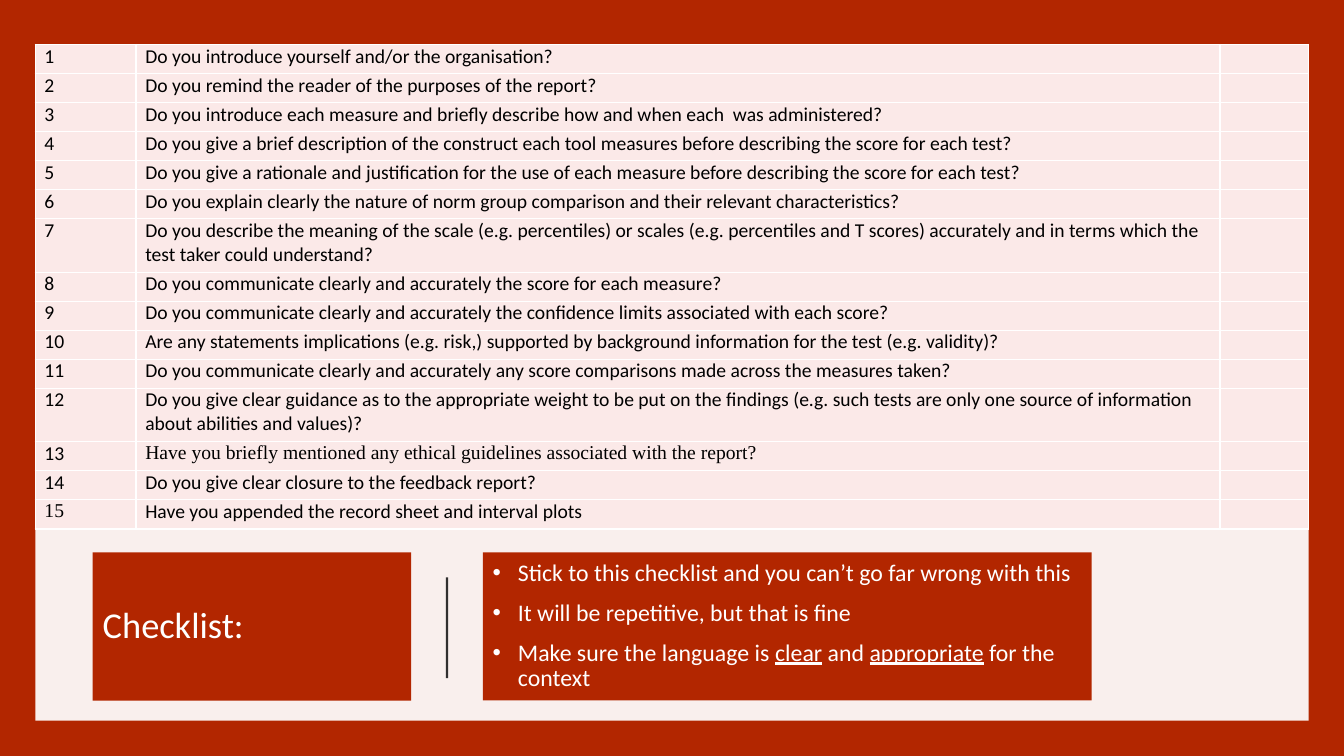
"""Build the report checklist slide with its table, title and advice."""
from lxml.etree import SubElement
from pptx import Presentation
from pptx.dml.color import RGBColor
from pptx.enum.shapes import MSO_CONNECTOR, MSO_SHAPE
from pptx.enum.text import MSO_ANCHOR, MSO_AUTO_SIZE, PP_ALIGN
from pptx.oxml.ns import qn
from pptx.util import Pt

COLORS = {"rust": "B22600", "blush": "FBE9E8", "white": "FFFFFF", "black": "000000"}
BODY_FONT, SERIF_FONT = "Calibri", "Times New Roman"

HEADING = "Checklist:"
QUESTIONS = [
    "Do you introduce yourself and/or the organisation?",
    "Do you remind the reader of the purposes of the report?",
    "Do you introduce each measure and briefly describe how and when each  was administered?",
    "Do you give a brief description of the construct each tool measures before describing "
    "the score for each test?",
    "Do you give a rationale and justification for the use of each measure before describing "
    "the score for each test?",
    "Do you explain clearly the nature of norm group comparison and their relevant "
    "characteristics?",
    "Do you describe the meaning of the scale (e.g. percentiles) or scales (e.g. percentiles "
    "and T scores) accurately and in terms which the test taker could understand?",
    "Do you communicate clearly and accurately the score for each measure?",
    "Do you communicate clearly and accurately the confidence limits associated with each score?",
    "Are any statements implications (e.g. risk,) supported by background information for the "
    "test (e.g. validity)?",
    "Do you communicate clearly and accurately any score comparisons made across the measures "
    "taken?",
    "Do you give clear guidance as to the appropriate weight to be put on the findings (e.g. "
    "such tests are only one source of information about abilities and values)?",
    "Have you briefly mentioned any ethical guidelines associated with the report?",
    "Do you give clear closure to the feedback report?",
    "Have you appended the record sheet and interval plots",
]
TWO_LINE_QUESTIONS = {7, 12}
SERIF_CELLS = {(13, 1), (15, 0)}
ADVICE = [
    [("Stick to this checklist and you can’t go far wrong with this", False)],
    [("It will be repetitive, but that is fine", False)],
    [("Make sure the language is ", False), ("clear", True), (" and ", False),
     ("appropriate", True), (" for the context", False)],
]

SLIDE_WIDTH, SLIDE_HEIGHT = 960, 540
MARGIN = 25.2
PANEL_WIDTH = SLIDE_WIDTH - 2 * MARGIN
PANEL_TOP, PANEL_HEIGHT = 376.6, 138.2
BOX_TOP, BOX_HEIGHT = 394.6, 105.8
HEADING_LEFT, HEADING_WIDTH = 66.2, 227.5
ADVICE_LEFT, ADVICE_WIDTH = 344.9, 434.9
DIVIDER_X = (HEADING_LEFT + HEADING_WIDTH + ADVICE_LEFT) / 2
DIVIDER_TOP, DIVIDER_BOTTOM = 412.4, 484.4
TABLE_TOP = 31.7
NUMBER_WIDTH, TICK_WIDTH = 72, 63.4
COLUMN_WIDTHS = [NUMBER_WIDTH, PANEL_WIDTH - NUMBER_WIDTH - TICK_WIDTH, TICK_WIDTH]
ROW_HEIGHT, TALL_ROW_HEIGHT = 20.75, 38.2

CELL_FORMAT = {"margin_left": Pt(6.6), "margin_right": Pt(6.6), "margin_top": 0,
               "margin_bottom": 0, "vertical_anchor": MSO_ANCHOR.TOP}
BOX_FORMAT = {"word_wrap": True, "auto_size": MSO_AUTO_SIZE.NONE,
              "vertical_anchor": MSO_ANCHOR.MIDDLE, "margin_left": Pt(7.2),
              "margin_right": Pt(7.2), "margin_top": Pt(3.6), "margin_bottom": Pt(3.6)}


def apply(target, values):
    for name, value in values.items():
        setattr(target, name, value)


def place(part, left, top, width, height):
    apply(part, {"left": Pt(left), "top": Pt(top), "width": Pt(width), "height": Pt(height)})


def paint(fill, color):
    fill.solid()
    fill.fore_color.rgb = RGBColor.from_string(COLORS[color])


def set_opacity(element, percent):
    color = next(element.iter(qn("a:srgbClr")))
    SubElement(color, qn("a:alpha"), val=str(percent * 1000))


def write(paragraph, text, size, color, font=BODY_FONT, underline=False):
    run = paragraph.add_run()
    run.text = text
    apply(run.font, {"size": Pt(size), "name": font, "bold": False, "underline": underline})
    run.font.color.rgb = RGBColor.from_string(COLORS[color])


def add_box(color):
    box = slide.shapes.add_shape(MSO_SHAPE.RECTANGLE, 0, 0, 0, 0)
    box.shadow.inherit = False
    box.line.fill.background()
    paint(box.fill, color)
    return box


def add_borders(cell):
    properties = cell._tc.get_or_add_tcPr()
    for position, side in enumerate(("lnL", "lnR", "lnT", "lnB")):
        border = properties.makeelement(qn(f"a:{side}"), {"w": str(Pt(1))})
        properties.insert(position, border)
        fill = SubElement(border, qn("a:solidFill"))
        SubElement(fill, qn("a:srgbClr"), val=COLORS["white"])


presentation = Presentation()
apply(presentation, {"slide_width": Pt(SLIDE_WIDTH), "slide_height": Pt(SLIDE_HEIGHT)})
slide = presentation.slides.add_slide(presentation.slide_layouts[5])
paint(slide.background.fill, "rust")

panel = add_box("white")
place(panel, MARGIN, PANEL_TOP, PANEL_WIDTH, PANEL_HEIGHT)
set_opacity(panel._element, 93)

heading = slide.shapes.title
slide.shapes._spTree.append(heading._element)
place(heading, HEADING_LEFT, BOX_TOP, HEADING_WIDTH, BOX_HEIGHT)
paint(heading.fill, "rust")
apply(heading.text_frame, BOX_FORMAT)
heading_line = heading.text_frame.paragraphs[0]
apply(heading_line, {"alignment": PP_ALIGN.LEFT, "line_spacing": 0.9})
write(heading_line, HEADING, 26, "white")

divider = slide.shapes.add_connector(
    MSO_CONNECTOR.STRAIGHT, Pt(DIVIDER_X), Pt(DIVIDER_BOTTOM), Pt(DIVIDER_X), Pt(DIVIDER_TOP))
divider.line.width = Pt(1.5)
paint(divider.line.fill, "black")
set_opacity(divider._element, 80)
SubElement(divider._element.spPr, qn("a:effectLst"))

advice = add_box("rust")
place(advice, ADVICE_LEFT, BOX_TOP, ADVICE_WIDTH, BOX_HEIGHT)
apply(advice.text_frame, BOX_FORMAT)
for index, phrases in enumerate(ADVICE):
    point = advice.text_frame.add_paragraph() if index else advice.text_frame.paragraphs[0]
    apply(point, {"alignment": PP_ALIGN.LEFT, "line_spacing": 0.9, "space_before": Pt(10)})
    indents = point._p.get_or_add_pPr()
    indents.set("marL", str(Pt(18)))
    indents.set("indent", str(-Pt(18)))
    SubElement(indents, qn("a:buFont"), typeface="Arial")
    SubElement(indents, qn("a:buChar"), char="•")
    for text, underline in phrases:
        write(point, text, 17, "white", underline=underline)

row_heights = [TALL_ROW_HEIGHT if number in TWO_LINE_QUESTIONS else ROW_HEIGHT
               for number in range(1, len(QUESTIONS) + 1)]
checklist = slide.shapes.add_table(
    len(QUESTIONS), len(COLUMN_WIDTHS), Pt(MARGIN), Pt(TABLE_TOP),
    Pt(PANEL_WIDTH), Pt(sum(row_heights))).table
apply(checklist, {"first_row": False, "horz_banding": False})
for column, width in zip(checklist.columns, COLUMN_WIDTHS):
    column.width = Pt(width)
for number, (question, height) in enumerate(zip(QUESTIONS, row_heights), 1):
    row = checklist.rows[number - 1]
    row.height = Pt(height)
    for column, text in enumerate((str(number), question, "")):
        cell = row.cells[column]
        apply(cell, CELL_FORMAT)
        paint(cell.fill, "blush")
        add_borders(cell)
        line = cell.text_frame.paragraphs[0]
        if text:
            font = SERIF_FONT if (number, column) in SERIF_CELLS else BODY_FONT
            write(line, text, 14, "black", font)
        else:
            SubElement(line._p, qn("a:endParaRPr"), sz="1400")

presentation.save("out.pptx")
